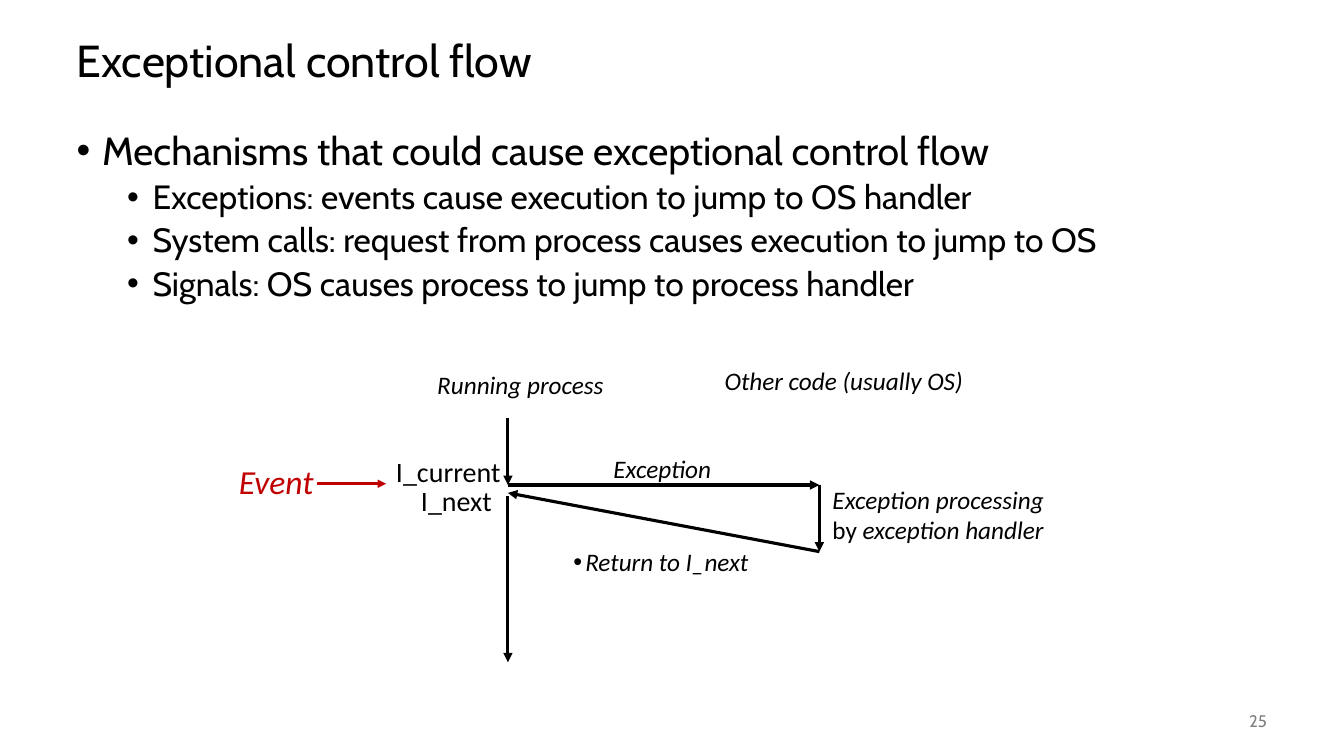
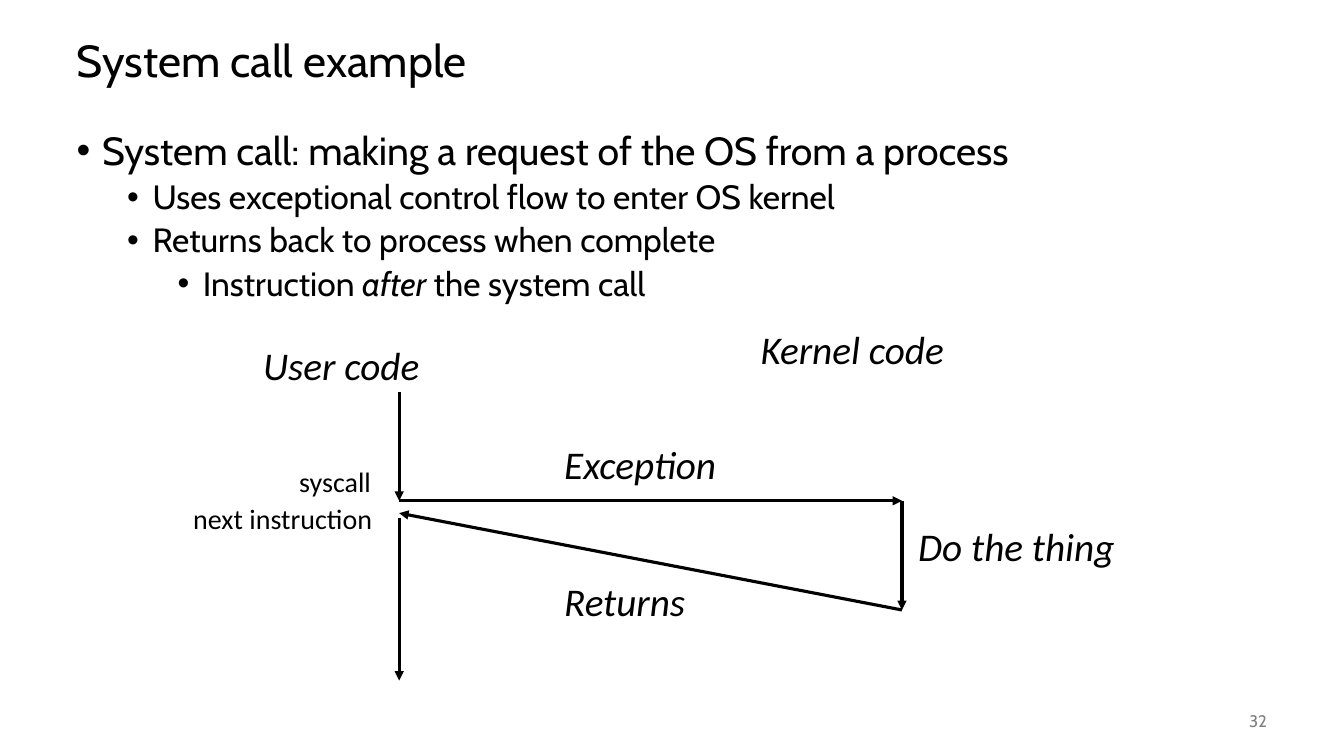
"""Build two slides on exceptional control flow and system calls."""
from dataclasses import dataclass

from lxml.etree import SubElement
from pptx import Presentation
from pptx.dml.color import RGBColor
from pptx.enum.shapes import MSO_CONNECTOR
from pptx.enum.text import MSO_ANCHOR, MSO_AUTO_SIZE, PP_ALIGN
from pptx.oxml.ns import qn
from pptx.util import Cm, Pt


@dataclass(frozen=True)
class Theme:
    ink: RGBColor = RGBColor(0, 0, 0)
    event: RGBColor = RGBColor(0xC0, 0, 0)
    muted: RGBColor = RGBColor(0x80, 0x80, 0x80)
    main_font: str = "Cabin"
    label_font: str = "Calibri"
    title: int = 32
    lead: int = 28
    point: int = 24
    code: int = 20
    label: int = 18
    number: int = 12
    line: float = 2.25


T = Theme()


def write(tf, text, size, font=T.main_font, color=T.ink, align=PP_ALIGN.LEFT,
          level=0, spacing=None, before=0, bullet=None):
    p = tf.paragraphs[0]
    if p.runs:
        p = tf.add_paragraph()
    if bullet:
        margin, hang = bullet
        pPr = p._p.get_or_add_pPr()
        pPr.set("marL", str(Cm(margin)))
        pPr.set("indent", str(-Cm(hang)))
        SubElement(pPr, qn("a:buFont")).set("typeface", "Arial")
        SubElement(pPr, qn("a:buChar")).set("char", "•")
    p.level = level
    p.alignment = align
    p.space_before = Pt(before)
    if spacing:
        p.line_spacing = spacing
    for i, part in enumerate(text.split("*")):
        if part:
            r = p.add_run()
            r.text = part
            r.font.size = Pt(size)
            r.font.name = font
            r.font.color.rgb = color
            r.font.italic = i % 2 == 1


def arrow(s, x1, y1, x2, y2, color=T.ink, width=T.line):
    c = s.shapes.add_connector(MSO_CONNECTOR.STRAIGHT, Cm(x1), Cm(y1), Cm(x2), Cm(y2))
    c.line.color.rgb = color
    c.line.width = Pt(width)
    SubElement(c.line._get_or_add_ln(), qn("a:tailEnd")).set("type", "triangle")
    SubElement(c._element.spPr, qn("a:effectLst"))


slides = [
    dict(
        title="Exceptional control flow",
        number="25",
        points=[
            (0, "Mechanisms that could cause exceptional control flow"),
            (1, "Exceptions: events cause execution to jump to OS handler"),
            (1, "System calls: request from process causes execution to jump to OS"),
            (1, "Signals: OS causes process to jump to process handler"),
        ],
        flow=(12.8, 20.65, 10.54, 12.22, 13.9, 12.42, 12.5, 16.69),
        labels=[
            ("*Running process*", 10.77, 9.19, 4.75, T.label, {}),
            ("*Other code (usually OS)*", 18.01, 9.09, 6.53, T.label, {}),
            ("*Exception*", 15.21, 11.3, 3.18, T.label, {}),
            ("*Exception processing*\nby *exception handler*", 20.73, 12.07, 5.97, T.label, {}),
            ("*Return to I_next*", 14.2, 13.64, 4.98, T.label, dict(bullet=(0.3, 0.3))),
            ("*Event*", 5.77, 11.48, 3.18, T.point, dict(color=T.event)),
            ("I_current", 9.73, 11.33, 3.18, T.code, {}),
            ("I_next", 10.36, 12.07, 2.31, T.code, {}),
        ],
        event=(8, 12.19, 9.73, 12.19),
    ),
    dict(
        title="System call example",
        number="32",
        points=[
            (0, "System call: making a request of the OS from a process"),
            (1, "Uses exceptional control flow to enter OS kernel"),
            (1, "Returns back to process when complete"),
            (2, "Instruction *after* the system call"),
        ],
        flow=(10.06, 22.73, 9.88, 12.62, 15.37, 12.93, 13.06, 17.15),
        labels=[
            ("*User code*", 6.38, 8.48, 4.5, T.lead, {}),
            ("*Kernel code*", 18.92, 8.08, 5.18, T.lead, {}),
            ("*Exception*", 13.97, 10.97, 4.37, T.lead, {}),
            ("*Do the thing*", 22.89, 13.03, 5.49, T.lead, {}),
            ("*Returns*", 13.97, 14.43, 3.58, T.lead, {}),
            ("syscall", 7.29, 11.58, 2.34, T.code, {}),
            ("next instruction", 1.68, 12.5, 7.95, T.code, dict(align=PP_ALIGN.RIGHT)),
        ],
        event=None,
    ),
]

prs = Presentation()
prs.slide_width, prs.slide_height = Cm(33.87), Cm(19.05)

for data in slides:
    s = prs.slides.add_slide(prs.slide_layouts[1])
    title, body = s.placeholders
    for sp, top, height in ((title, 0.64, 1.9), (body, 3.18, 13.97)):
        sp.left, sp.top, sp.width, sp.height = Cm(1.68), Cm(top), Cm(30.48), Cm(height)
        sp.text_frame.auto_size = MSO_AUTO_SIZE.NONE
    title.text_frame.vertical_anchor = MSO_ANCHOR.MIDDLE
    write(title.text_frame, data["title"], T.title, spacing=0.9)
    for level, text in data["points"]:
        write(body.text_frame, text, T.point if level else T.lead, level=level,
              spacing=0.9, before=5 if level else 0,
              bullet=(0.64 + 1.27 * level, 0.64))

    sp = s.shapes.add_textbox(Cm(29.64), Cm(17.65), Cm(2.54), Cm(1.02))
    tf = sp.text_frame
    tf.word_wrap = True
    tf.vertical_anchor = MSO_ANCHOR.MIDDLE
    write(tf, data["number"], T.number, color=T.muted, align=PP_ALIGN.RIGHT)

    left, right, start, call, done, back, resume, end = data["flow"]
    arrow(s, left, start, left, call)
    arrow(s, left, call, right, call)
    arrow(s, right, call, right, done)
    arrow(s, right, done, left, back)
    arrow(s, left, resume, left, end)
    if data["event"]:
        arrow(s, *data["event"], color=T.event, width=2)

    for text, x, y, width, size, fmt in data["labels"]:
        lines = text.split("\n")
        height = Pt(size * 1.22 * len(lines)) + Cm(0.25)
        sp = s.shapes.add_textbox(Cm(x), Cm(y), Cm(width), height)
        tf = sp.text_frame
        tf.word_wrap = "align" in fmt
        tf.auto_size = MSO_AUTO_SIZE.SHAPE_TO_FIT_TEXT
        for line in lines:
            write(tf, line, size, font=T.label_font, **fmt)

prs.save("out.pptx")
